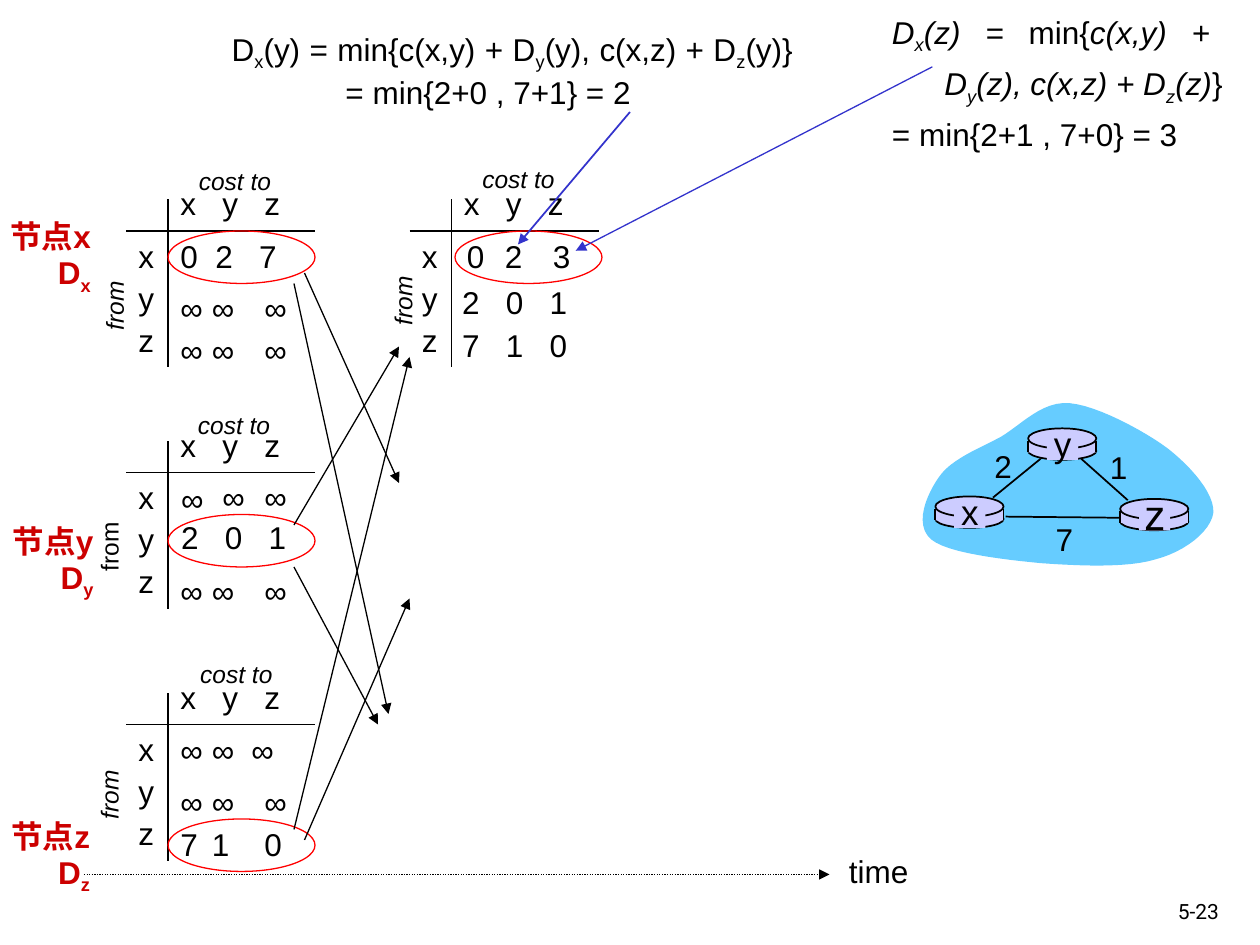
import pptx
import pptx.util
import pptx.dml.color
import pptx.enum.dml
import pptx.enum.shapes
import pptx.enum.text
import pptx.oxml.ns
from lxml import etree

Pt = pptx.util.Pt
RGB = pptx.dml.color.RGBColor.from_string
SHAPE = pptx.enum.shapes.MSO_SHAPE
ALIGN = pptx.enum.text.PP_ALIGN
qn = pptx.oxml.ns.qn


class Theme:
    black, node, ring, link = "000000", "CC0000", "FF0000", "3333CC"
    cloud, router = "66CCFF", "CCCCFF"
    font, number_font = "Arial", "Roboto"
    body, axis, number, big, router_name = 18, 14, 12, 24, 20


prs = pptx.Presentation()
prs.slide_width, prs.slide_height = Pt(720), Pt(540)
s = prs.slides.add_slide(prs.slide_layouts[6])


def text(x, y, w, h, paragraphs, size=Theme.body, color=Theme.black, font=Theme.font,
         align=None, spacing=None, tabs=(), wrap=False, middle=False, rotation=0):
    """Each paragraph is a string or a list of (text, flags): i italic, b bold, _ subscript."""
    sp = s.shapes.add_textbox(Pt(x), Pt(y), Pt(w), Pt(h))
    sp.rotation = rotation
    tf = sp.text_frame
    tf.word_wrap = wrap
    tf.auto_size = pptx.enum.text.MSO_AUTO_SIZE.SHAPE_TO_FIT_TEXT
    if middle:
        tf.vertical_anchor = pptx.enum.text.MSO_ANCHOR.MIDDLE
    for i, runs in enumerate(paragraphs):
        p = tf.add_paragraph() if i else tf.paragraphs[0]
        p.alignment, p.line_spacing = align, spacing
        if tabs:
            stops = etree.SubElement(p._p.get_or_add_pPr(), qn("a:tabLst"))
            for pos in tabs:
                etree.SubElement(stops, qn("a:tab"), pos=str(int(Pt(pos))), algn="l")
        for words, flags in [(runs, "")] if isinstance(runs, str) else runs:
            if words == "\n":
                p.add_line_break()
                continue
            r = p.add_run()
            r.text = words
            r.font.size, r.font.name = Pt(size), font
            r.font.color.rgb = RGB(color)
            r.font.italic, r.font.bold = "i" in flags, "b" in flags
            if "_" in flags:
                r._r.get_or_add_rPr().set("baseline", "-25000")


def line(x1, y1, x2, y2, color=Theme.black, width=0.75, arrow=False, dotted=False):
    sp = s.shapes.add_connector(pptx.enum.shapes.MSO_CONNECTOR.STRAIGHT,
                                Pt(x1), Pt(y1), Pt(x2), Pt(y2))
    sp.line.color.rgb, sp.line.width = RGB(color), Pt(width)
    if dotted:
        sp.line.dash_style = pptx.enum.dml.MSO_LINE.ROUND_DOT
    if arrow:
        etree.SubElement(sp._element.spPr.find(qn("a:ln")), qn("a:tailEnd"), type="triangle")
    etree.SubElement(sp._element.spPr, qn("a:effectLst"))


# Distance tables: axes, headings, row names
# left, top, "cost to" position, "from" position, "from" flags
tables = [
    (96, 114, (106.5, 91.5), (44, 162.7), "i"),
    (258, 114, (268.5, 90), (208.8, 159.8), "i"),
    (96, 252, (106, 231), (41, 300.2), ""),
    (96, 396, (107.3, 373), (41, 442), "i"),
]
for left, top, cost_at, from_at, flags in tables:
    line(left, top, left, top + 96)
    line(left - 24, top + 18, left + 84, top + 18)
    text(left, top - 12.3, 71.3, 29, ["x\ty\tz"], tabs=(24, 48))
    for i, name in enumerate("xyz"):
        text(left - 24, top + 17.8 + 24 * i, 23.8, 29, [name])
    text(*cost_at, 60, 24, [[("cost to", "i")]], size=Theme.axis)
    text(*from_at, 42.5, 24, [[("from", flags)]], size=Theme.axis, rotation=270)

# Table values set one by one: top, then (left, value) pairs
spread = [(96, "∞"), (114, "∞"), (144, "∞")]
cells = [
    (161.5, spread),
    (185.8, spread),
    (131.8, [(259.7, "0"), (281.5, "2"), (308.9, "3")]),
    (269.5, [(120, "∞"), (144, "∞")]),
    (323.5, spread),
    (443.8, spread),
    (467.6, [(96, "7"), (114, "1"), (144, "0")]),
]
for y, row in cells:
    for x, value in row:
        text(x, y, 27.4 if value == "∞" else 24.5, 29, [value])

# Table values set as whole rows
rows = [
    (96, 131.8, 69.8, ["0\t2\t7"], (20, 45)),
    (96, 414, 77.8, ["∞\t∞\t∞"], (18, 40.5)),
    (96.5, 270.7, 74.5, ["∞", "2\t0\t1"], (25, 50)),
    (257, 157.9, 74.5, ["2\t0\t1"], (25, 50)),
    (257, 182.9, 74.5, ["7\t1\t0"], (25, 50)),
]
for x, y, w, values, tabs in rows:
    text(x, y, w, 29 * len(values), values, tabs=tabs)

# Rings around each node's own vector
for x, y in [(96, 132), (96, 294), (96, 468), (260, 132)]:
    sp = s.shapes.add_shape(SHAPE.OVAL, Pt(x), Pt(y), Pt(84), Pt(30))
    sp.shadow.inherit = False
    sp.fill.background()
    sp.line.color.rgb, sp.line.width = RGB(Theme.ring), Pt(0.75)

# Messages between nodes
for ends in [(174, 156, 228, 276), (168, 162, 222, 408), (168, 300, 228, 198),
             (168, 324, 216, 414), (168, 474, 234, 204), (174, 480, 234, 342)]:
    line(*ends, arrow=True)

# Time axis
line(48, 499.7, 474, 499.7, arrow=True, dotted=True)
text(478, 483.3, 48.2, 29, ["time"])

# Node names
for name, x, y, w in [("x", -2, 124, 61), ("y", -0.5, 298, 61), ("z", -1.5, 466.6, 60)]:
    text(x, y, w, 81, [[("节点" + name, "b")], [("D", "b"), (name, "b_")]],
         color=Theme.node, align=ALIGN.RIGHT, spacing=0.85, wrap=True)

# Formulas with pointers to their results
text(125.3, 14.8, 334.8, 50.4,
     [[("D", ""), ("x", "_"), ("(y) = min{c(x,y) + D", ""), ("y", "_"),
       ("(y), c(x,z) + D", ""), ("z", "_"), ("(y)}", ""), ("\n", ""),
       ("\t= min{2+0 , 7+1} = 2", "")]],
     align=ALIGN.JUSTIFY, tabs=(65,), middle=True)
line(360, 64, 296, 139.7, color=Theme.link, width=1, arrow=True)
text(502.6, 2.2, 210.2, 85,
     [[("D", "i"), ("x", "i_"), ("(z) = ", "i"), ("min{", ""), ("c(x,y) + ", "i"), ("\n", ""),
       ("\tD", "i"), ("y", "i_"), ("(z), c(x,z) + D", "i"), ("z", "i_"), ("(z)", "i"), ("}", "")],
      "= min{2+1 , 7+0} = 3"],
     align=ALIGN.JUSTIFY, spacing=1.2, tabs=(30,), wrap=True, middle=True)
line(532.8, 38.2, 329, 143.3, color=Theme.link, arrow=True)

# Network cloud: Bezier segments sampled into a smooth outline
start = (536.4, 272.9)
curves = [
    ((542.9, 262.8), (559.4, 256.3), (571.7, 249.8)),
    ((583.9, 242.6), (595.4, 229), (611.3, 230.4)),
    ((627.1, 231.8), (653.8, 246.2), (667.4, 256.3)),
    ((681.1, 267.1), (694.1, 282.2), (693.4, 293)),
    ((691.9, 303.8), (676.8, 315.4), (660.2, 319.7)),
    ((643.7, 324.7), (615.6, 323.3), (594.7, 321.8)),
    ((573.1, 319.7), (541.4, 316.1), (532.1, 308.2)),
    ((522, 299.5), (529.9, 282.2), start),
]
outline, a = [], start
for b, c, d in curves:
    for step in range(1, 13):
        t = step / 12
        u = 1 - t
        outline.append(tuple(u**3 * a[k] + 3 * u * u * t * b[k] + 3 * u * t * t * c[k]
                             + t**3 * d[k] for k in (0, 1)))
    a = d
fb = s.shapes.build_freeform(Pt(start[0]), Pt(start[1]))
fb.add_line_segments([(Pt(x), Pt(y)) for x, y in outline], close=True)
sp = fb.convert_to_shape()
sp.shadow.inherit = False
sp.fill.solid()
sp.fill.fore_color.rgb = RGB(Theme.cloud)
sp.line.fill.background()

# Links and their costs
for ends in [(567.4, 284.4, 594.7, 262.1), (617.8, 262.1, 644.4, 285.8),
             (641.5, 295.9, 574.6, 295.2)]:
    line(*ends, width=1)
for cost, x, y in [("1", 627, 252.7), ("2", 561, 252), ("7", 596, 293.8)]:
    text(x, y, 24.5, 29, [cost], align=ALIGN.CENTER)

# Routers: lower rim, body, upper rim, patch behind the name
parts = [(SHAPE.OVAL, 0, 7.9, 39, 10, True), (SHAPE.RECTANGLE, 0, 7.2, 39, 6.5, False),
         (SHAPE.OVAL, 0, 0, 39, 11.5, True), (SHAPE.RECTANGLE, 10.8, 1.4, 17.8, 16.6, False)]
for name, x, y, size, w, h in [("x", 534.5, 283.7, Theme.router_name, 24.5, 31),
                               ("z", 640.1, 285.1, Theme.big, 26.6, 36),
                               ("y", 587.5, 244.8, Theme.router_name, 24.5, 31)]:
    for shape, dx, dy, pw, ph, outlined in parts:
        sp = s.shapes.add_shape(shape, Pt(x + dx), Pt(y + dy), Pt(pw), Pt(ph))
        sp.shadow.inherit = False
        sp.fill.solid()
        sp.fill.fore_color.rgb = RGB(Theme.router)
        if outlined:
            sp.line.color.rgb, sp.line.width = RGB(Theme.black), Pt(1)
        else:
            sp.line.fill.background()
    for side in (x, x + 39):
        line(side, y + 7.2, side, y + 13.7, width=1)
    text(x + 19.8 - w / 2, y + 8.8 - h / 2, w, h, [name], size=size, align=ALIGN.CENTER)

# Slide number
text(666, 509.8, 43.2, 21.6, ["5-23"], size=Theme.number, font=Theme.number_font, wrap=True)

prs.save("out.pptx")
